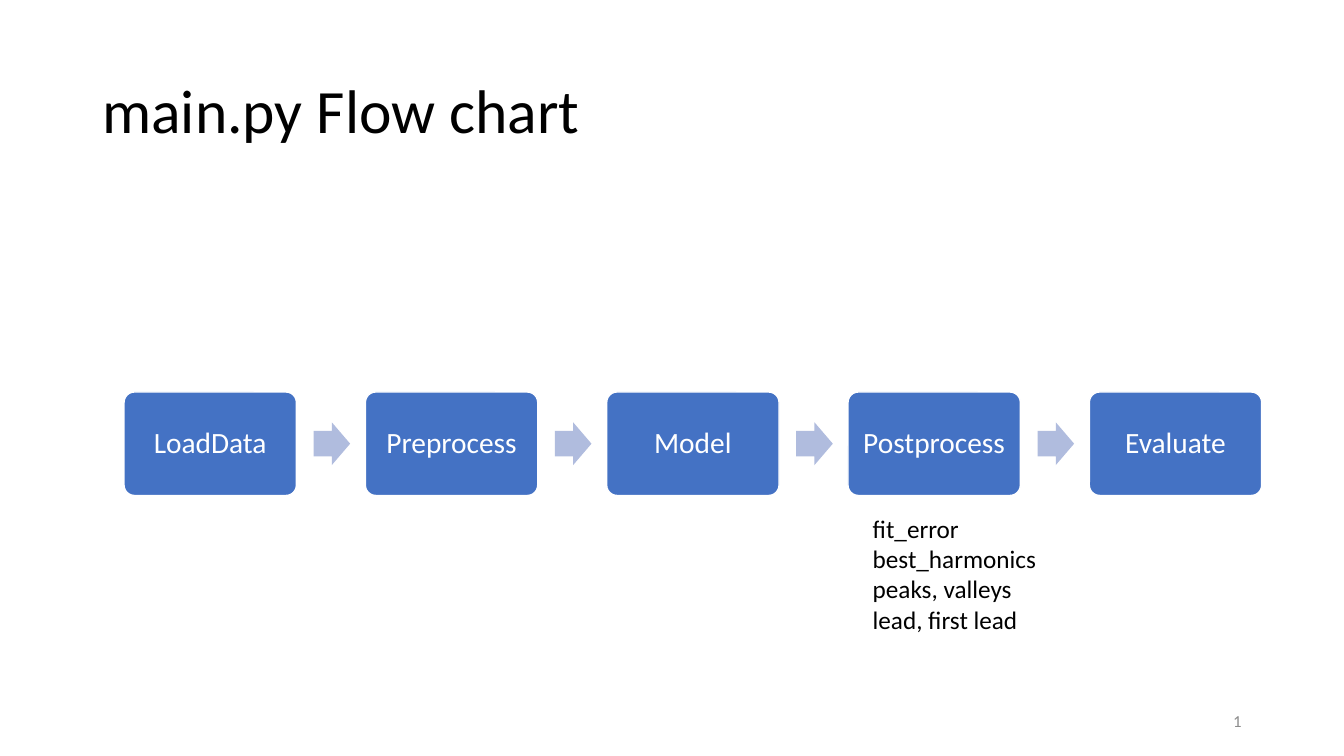
from lxml.etree import SubElement
from pptx import Presentation
from pptx.dml.color import RGBColor
from pptx.enum.shapes import MSO_SHAPE
from pptx.enum.text import MSO_ANCHOR, PP_ALIGN
from pptx.oxml.ns import qn
from pptx.util import Pt

BLACK = RGBColor(0x00, 0x00, 0x00)
WHITE = RGBColor(0xFF, 0xFF, 0xFF)
GREY = RGBColor(0x8C, 0x8C, 0x8C)
BLUE = RGBColor(0x44, 0x72, 0xC4)
PALE_BLUE = RGBColor(0xB0, 0xBC, 0xDE)

STEPS = ["LoadData", "Preprocess", "Model", "Postprocess", "Evaluate"]
OUTPUTS = ["fit_error", "best_harmonics", "peaks, valleys", "lead, first lead"]


def write(shape, lines, size, color, align=PP_ALIGN.LEFT, spacing=1.0, **frame_format):
    """Fill a shape with one paragraph per line."""
    frame = shape.text_frame
    frame.word_wrap = True
    for name, value in frame_format.items():
        setattr(frame, name, value)
    for index, line in enumerate(lines):
        para = frame.paragraphs[0] if index == 0 else frame.add_paragraph()
        para.alignment = align
        para.line_spacing = spacing
        span = para.add_run()
        span.text = line
        span.font.color.rgb = color
        for name, value in {"name": "Calibri", "size": Pt(size)}.items():
            setattr(span.font, name, value)


def add_text(page, box, lines, size, color, **text_format):
    """Place a text box in the given box."""
    shape = page.shapes.add_textbox(*map(Pt, box))
    write(shape, lines, size, color, **text_format)
    return shape


def add_block(page, preset, box, fill, adjustments):
    """Place a filled preset shape without line or shadow."""
    shape = page.shapes.add_shape(preset, *map(Pt, box))
    shape.shadow.inherit = False
    shape.fill.solid()
    shape.fill.fore_color.rgb = fill
    shape.line.fill.background()
    for index, value in enumerate(adjustments):
        shape.adjustments[index] = value
    return shape


def add_flow(page, box, steps):
    """Spread the steps evenly over the box with an arrow in each gap."""
    left, top, width, height = box
    step_width, arrow_width, arrow_height = 123.1, 26.1, 30.5
    pitch = (width - step_width) / (len(steps) - 1)
    arrow_top = top + (height - arrow_height) / 2
    margins = dict.fromkeys(
        ["margin_left", "margin_top", "margin_right", "margin_bottom"], Pt(8.5))
    for index, step in enumerate(steps):
        step_left = left + index * pitch
        block = add_block(page, MSO_SHAPE.ROUNDED_RECTANGLE,
                          (step_left, top, step_width, height), BLUE, [0.1])
        block.line.color.rgb = WHITE
        block.line.width = Pt(1)
        write(block, [step], 21, WHITE, PP_ALIGN.CENTER, 0.9,
              vertical_anchor=MSO_ANCHOR.MIDDLE, **margins)
        if index < len(steps) - 1:
            add_block(page, MSO_SHAPE.RIGHT_ARROW,
                      (step_left + step_width + 12.3, arrow_top, arrow_width, arrow_height),
                      PALE_BLUE, [0.6, 0.5])


def add_page_number(page, box):
    """Place the slide number as a live field."""
    shape = add_text(page, box, ["1"], 12, GREY, align=PP_ALIGN.RIGHT,
                     vertical_anchor=MSO_ANCHOR.MIDDLE)
    run = shape.text_frame.paragraphs[0].runs[0]._r
    field = SubElement(run.getparent(), qn("a:fld"),
                       id="{B6F15528-21DE-4FAA-801E-634DDDAF4B2B}", type="slidenum")
    field.extend(list(run))
    run.getparent().remove(run)


def main():
    """Build and save the flow chart slide."""
    deck = Presentation()
    deck.slide_width, deck.slide_height = Pt(960), Pt(540)
    page = deck.slides.add_slide(deck.slide_layouts[6])
    add_text(page, (66, 28.75, 828, 104.4), ["main.py Flow chart"], 44, BLACK,
             spacing=0.9, vertical_anchor=MSO_ANCHOR.MIDDLE)
    add_page_number(page, (678, 500.5, 216, 28.75))
    add_flow(page, (88.6, 280, 812.6, 73.9), STEPS)
    add_text(page, (616.3, 363, 149, 94.5), OUTPUTS, 18, BLACK)
    deck.save("out.pptx")


if __name__ == "__main__":
    main()
